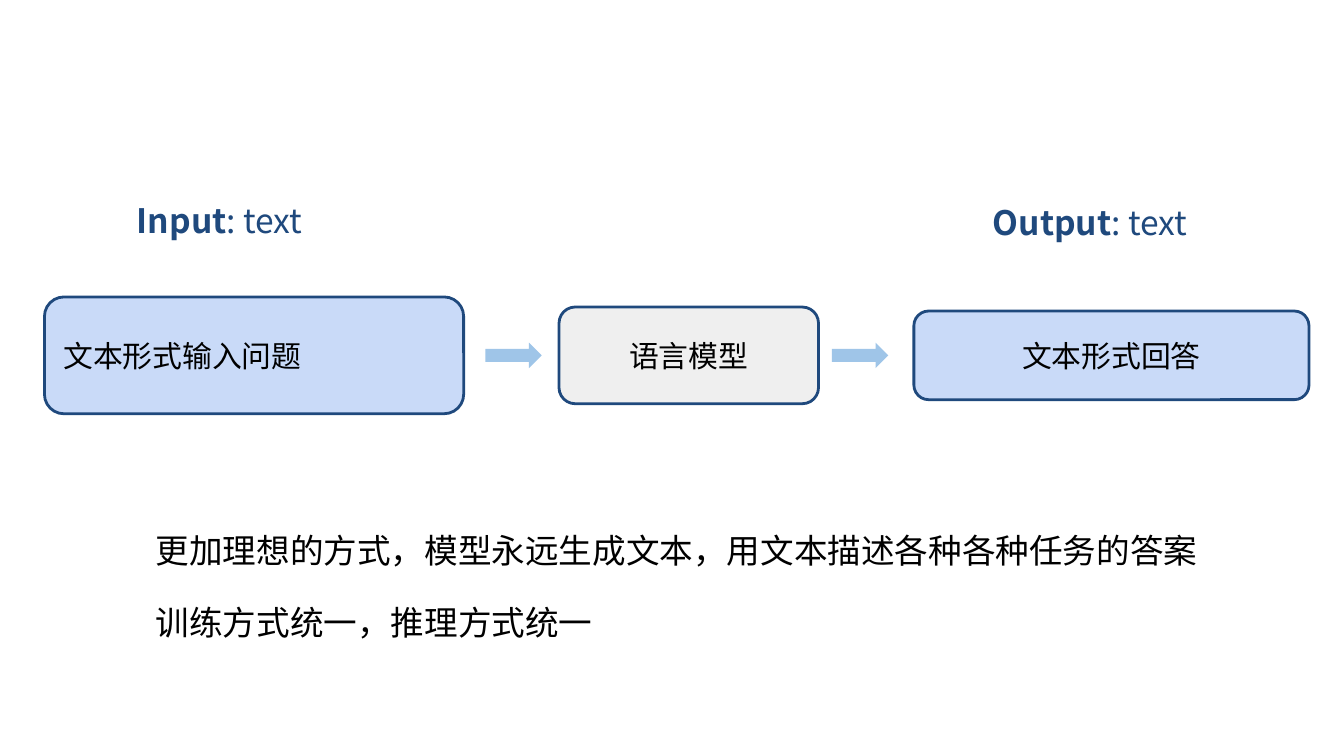
import pptx
import pptx.util
import pptx.dml.color
import pptx.enum.shapes
import pptx.enum.text
import pptx.oxml.ns
import lxml.etree

Pt = pptx.util.Pt
SHAPE = pptx.enum.shapes.MSO_SHAPE
ALIGN = pptx.enum.text.PP_ALIGN
FONT = "Noto Sans CJK SC"
COLORS = {
    "navy": "1F497D",
    "blue": "C9DAF8",
    "gray": "EFEFEF",
    "arrow": "9FC5E8",
    "black": "000000",
}
INSET = 7.2
FLOW_MIDDLE = 190.4


def color(name):
    return pptx.dml.color.RGBColor.from_string(COLORS[name])


def style_paragraph(paragraph, size, color_name, align=ALIGN.LEFT):
    paragraph.alignment = align
    font = paragraph.font
    font.size = Pt(size)
    font.name = FONT
    font.color.rgb = color(color_name)
    # The Chinese characters need the East Asian typeface as well
    properties = paragraph._p.pPr.find(pptx.oxml.ns.qn("a:defRPr"))
    east_asian = lxml.etree.SubElement(properties, pptx.oxml.ns.qn("a:ea"))
    east_asian.set("typeface", FONT)


def set_insets(text_frame):
    text_frame.word_wrap = True
    text_frame.margin_left = text_frame.margin_right = Pt(INSET)
    text_frame.margin_top = text_frame.margin_bottom = Pt(INSET)


def add_flow_shape(slide, kind, left, width, height, fill):
    """Add a filled shape centred on the middle line of the flow."""
    top = FLOW_MIDDLE - height / 2
    shape = slide.shapes.add_shape(kind, Pt(left), Pt(top), Pt(width), Pt(height))
    shape.shadow.inherit = False
    shape.fill.solid()
    shape.fill.fore_color.rgb = color(fill)
    shape.line.fill.background()
    return shape


def add_box(slide, text, left, width, height, fill, align):
    box = add_flow_shape(slide, SHAPE.ROUNDED_RECTANGLE, left, width, height, fill)
    box.line.color.rgb = color("navy")
    box.line.width = Pt(1.5)
    text_frame = box.text_frame
    set_insets(text_frame)
    text_frame.vertical_anchor = pptx.enum.text.MSO_ANCHOR.MIDDLE
    text_frame.text = text
    style_paragraph(text_frame.paragraphs[0], 16, "black", align)


def add_text_box(slide, left, top, width, height):
    text_frame = slide.shapes.add_textbox(
        Pt(left), Pt(top), Pt(width), Pt(height)).text_frame
    set_insets(text_frame)
    return text_frame


def add_label(slide, name, left, top, width):
    paragraph = add_text_box(slide, left, top, width, 36).paragraphs[0]
    style_paragraph(paragraph, 18, "navy")
    for text, bold in ((name, True), (": text", False)):
        run = paragraph.add_run()
        run.text = text
        run.font.bold = bold


def add_notes(slide, lines, left, top, width, height):
    text_frame = add_text_box(slide, left, top, width, height)
    text_frame.text = "\n".join(lines)
    for paragraph in text_frame.paragraphs:
        style_paragraph(paragraph, 18, "black")
    for paragraph in text_frame.paragraphs[1:]:
        paragraph.space_before = Pt(17.3)


def main():
    presentation = pptx.Presentation()
    presentation.slide_width = Pt(720)
    presentation.slide_height = Pt(405)
    slide = presentation.slides.add_slide(presentation.slide_layouts[6])

    # Flow: question, language model, answer
    add_box(slide, "文本形式输入问题", 23.8, 224.6, 62.6, "blue", ALIGN.LEFT)
    add_box(slide, "语言模型", 299.5, 139, 51.8, "gray", ALIGN.CENTER)
    add_box(slide, "文本形式回答", 489.6, 211.7, 47.5, "blue", ALIGN.CENTER)
    for left in (260, 445.7):
        add_flow_shape(slide, SHAPE.RIGHT_ARROW, left, 30.2, 13.7, "arrow")

    # Labels above the two ends
    add_label(slide, "Input", 66.2, 100.1, 190)
    add_label(slide, "Output", 524.9, 100.8, 187.2)

    # Conclusions
    add_notes(slide, (
        "更加理想的方式，模型永远生成文本，用文本描述各种各种任务的答案",
        "训练方式统一，推理方式统一",
    ), 76.3, 276.5, 595.4, 79.2)

    presentation.save("out.pptx")


if __name__ == "__main__":
    main()
